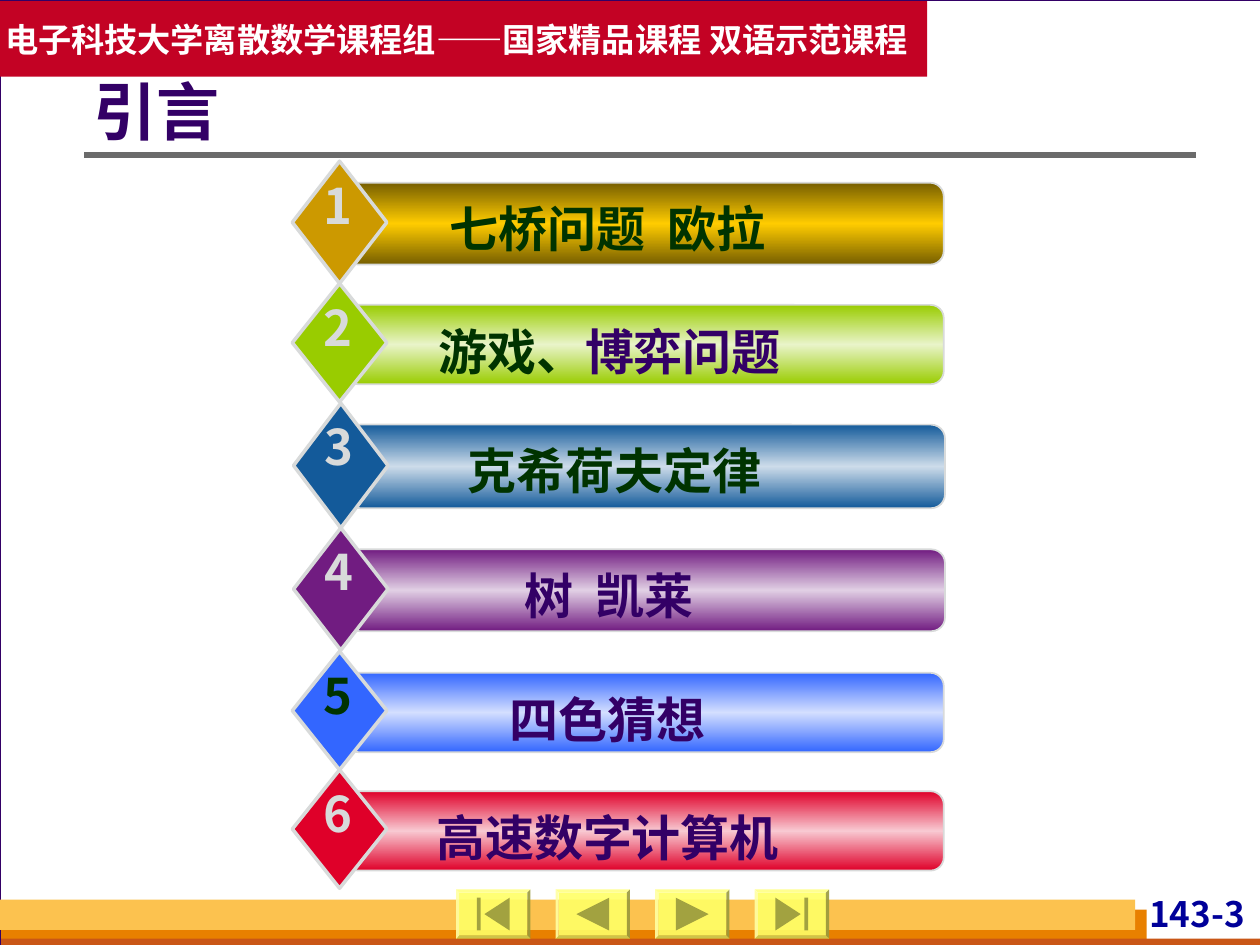
import copy
from dataclasses import dataclass

import pptx
import pptx.dml.color
import pptx.enum.shapes
import pptx.enum.text
import pptx.oxml.ns
import pptx.oxml.xmlchemy
import pptx.util
from lxml import etree

Inches = pptx.util.Inches
Pt = pptx.util.Pt
RGBColor = pptx.dml.color.RGBColor
SHAPE = pptx.enum.shapes.MSO_SHAPE
ALIGN = pptx.enum.text.PP_ALIGN
ANCHOR = pptx.enum.text.MSO_ANCHOR
qn = pptx.oxml.ns.qn

CJK = "Noto Sans CJK SC"
WHITE = RGBColor(0xFF, 0xFF, 0xFF)
SILVER = RGBColor(0xD8, 0xDA, 0xDA)
INDIGO = RGBColor(0x33, 0x00, 0x66)
FOREST = RGBColor(0x00, 0x33, 0x00)
NAVY = RGBColor(0x00, 0x00, 0x99)
CRIMSON = RGBColor(0xC3, 0x02, 0x24)
GREY = RGBColor(0x6B, 0x6B, 0x6B)
ORANGE = RGBColor(0xE8, 0x80, 0x00)
RUST = RGBColor(0xC9, 0x56, 0x16)
AMBER = RGBColor(0xFC, 0xC2, 0x4F)
YELLOW = RGBColor(0xFF, 0xFF, 0x66)
YELLOW_PALE = RGBColor(0xFF, 0xFF, 0xA3)
YELLOW_LIGHT = RGBColor(0xFF, 0xFF, 0x85)
YELLOW_DIM = RGBColor(0xCC, 0xCC, 0x52)
YELLOW_DARK = RGBColor(0x99, 0x99, 0x3D)


@dataclass
class Topic:
    left: float
    top: float
    height: float
    label: list[tuple[str, str, int, RGBColor]]  # text, font, size, colour
    edge: RGBColor
    middle: RGBColor
    diamond: RGBColor
    number_colour: RGBColor = SILVER


def plain(text: str, colour: RGBColor) -> list[tuple[str, str, int, RGBColor]]:
    return [(text, CJK, 28, colour)]


def rgb(code: str) -> RGBColor:
    return RGBColor.from_string(code)


TOPICS = [
    Topic(2.32, 1.28, 0.97, plain("七桥问题  欧拉 ", FOREST),
          rgb("765E00"), rgb("FFCC00"), rgb("CC9900")),
    Topic(2.32, 2.25, 0.94,
          [("游戏、", CJK, 28, FOREST), ("博弈问题", "Arial", 28, INDIGO),
           (" ", "Arial", 18, INDIGO)],
          rgb("99CC00"), rgb("E9F4C9"), rgb("99CC00")),
    Topic(2.33, 3.20, 0.99, plain("克希荷夫定律", FOREST),
          rgb("135A9A"), rgb("CDDCEA"), rgb("135A9A")),
    Topic(2.33, 4.19, 0.97, plain("树  凯莱 ", INDIGO),
          rgb("711C81"), rgb("E1CFE4"), rgb("711C81")),
    Topic(2.32, 5.17, 0.94, plain("四色猜想 ", INDIGO),
          rgb("3366FF"), rgb("D4DFFF"), rgb("3366FF"), FOREST),
    Topic(2.32, 6.11, 0.94, plain("高速数字计算机 ", INDIGO),
          rgb("DF0029"), rgb("F8C9D2"), rgb("DF0029")),
]


def style_run(run, font_name: str, size: int, colour: RGBColor) -> None:
    run.font.name = font_name
    run.font.size = Pt(size)
    run.font.bold = True
    run.font.color.rgb = colour
    east_asian = etree.SubElement(run.font._element, qn("a:ea"))
    east_asian.set("typeface", CJK)


def set_margins(frame, left: float, top: float, right: float, bottom: float) -> None:
    frame.margin_left, frame.margin_top = Inches(left), Inches(top)
    frame.margin_right, frame.margin_bottom = Inches(right), Inches(bottom)


def add_block(slide, kind, left: float, top: float, width: float, height: float,
              fill: RGBColor | None, line: RGBColor | None = None, weight: float = 1):
    block = slide.shapes.add_shape(kind, Inches(left), Inches(top), Inches(width), Inches(height))
    block.shadow.inherit = False
    if fill is not None:
        block.fill.solid()
        block.fill.fore_color.rgb = fill
    if line is None:
        block.line.fill.background()
    else:
        block.line.color.rgb = line
        block.line.width = Pt(weight)
    return block


def add_label(slide, left: float, top: float, width: float, height: float, runs,
              align=ALIGN.CENTER, wrap: bool = True, margins=(0.1, 0.05, 0.1, 0.05)) -> None:
    label = slide.shapes.add_textbox(Inches(left), Inches(top), Inches(width), Inches(height))
    frame = label.text_frame
    frame.word_wrap = wrap
    set_margins(frame, *margins)
    line = frame.paragraphs[0]
    line.alignment = align
    for text, font_name, size, colour in runs:
        run = line.add_run()
        run.text = text
        style_run(run, font_name, size, colour)


def add_topic(slide, number: int, topic: Topic) -> None:
    left, top = topic.left, topic.top
    bar = add_block(slide, SHAPE.ROUNDED_RECTANGLE, left + 0.42, top + 0.17, 4.75,
                    topic.height * 0.67, None, SILVER, 1)
    bar.fill.gradient()
    bar.fill.gradient_angle = 90
    stops = bar.element.find(".//" + qn("a:gsLst"))
    stops.insert(1, copy.deepcopy(stops[0]))
    colours = (topic.edge, topic.middle, topic.edge)
    for stop, position, colour in zip(bar.fill.gradient_stops, (0, 0.5, 1), colours):
        stop.position = position
        stop.color.rgb = colour
    add_block(slide, SHAPE.DIAMOND, left, top, 0.75, topic.height, topic.diamond, SILVER, 2)
    add_label(slide, left + 0.67, top + 0.25, 3.75, 0.57, topic.label)
    add_label(slide, left + 0.15, top + 0.06, 0.42, 0.57,
              plain(str(number), topic.number_colour), wrap=False)


def add_polygon(slide, points: list[tuple[float, float]], colour: RGBColor) -> None:
    corners = [(Inches(x), Inches(y)) for x, y in points]
    builder = slide.shapes.build_freeform(*corners[0])
    builder.add_line_segments(corners[1:], close=True)
    polygon = builder.convert_to_shape()
    polygon.shadow.inherit = False
    polygon.fill.solid()
    polygon.fill.fore_color.rgb = colour
    polygon.line.fill.background()
    alpha = etree.SubElement(polygon.element.spPr.find(".//" + qn("a:srgbClr")), qn("a:alpha"))
    alpha.set("val", "90000")


def add_button(slide, left: float, direction: int, to_end: bool) -> None:
    top, width, height, bevel = 7.06, 0.59, 0.39, 0.025
    right, bottom = left + width, top + height
    outer = [(left, top), (right, top), (right, bottom), (left, bottom)]
    inner = [(left + bevel, top + bevel), (right - bevel, top + bevel),
             (right - bevel, bottom - bevel), (left + bevel, bottom - bevel)]
    add_polygon(slide, inner, YELLOW)
    for i, colour in enumerate((YELLOW_LIGHT, YELLOW_DARK, YELLOW_DIM, YELLOW_PALE)):
        j = (i + 1) % 4
        add_polygon(slide, [outer[i], outer[j], inner[j], inner[i]], colour)
    # Arrow, with a stop bar on the first and last buttons
    x, y = left + width / 2, top + height / 2
    tip = x + direction * (0.07 if to_end else 0.13)
    back = x - direction * 0.13
    add_polygon(slide, [(tip, y), (back, y - 0.13), (back, y + 0.13)], YELLOW_DARK)
    if to_end:
        near, far = x + direction * 0.1, x + direction * 0.13
        add_polygon(slide, [(near, y - 0.13), (far, y - 0.13), (far, y + 0.13),
                            (near, y + 0.13)], YELLOW_DARK)


def main() -> None:
    deck = pptx.Presentation()
    deck.slide_width, deck.slide_height = Inches(10), Inches(7.5)
    slide = deck.slides.add_slide(deck.slide_layouts[5])
    slide.background.fill.solid()
    slide.background.fill.fore_color.rgb = SILVER

    # Page and footer bands
    add_block(slide, SHAPE.RECTANGLE, 0, 0, 10.01, 7.5, WHITE, INDIGO, 0.75)
    add_block(slide, SHAPE.RECTANGLE, 0.01, 7.22, 9.09, 0.28, ORANGE)
    add_block(slide, SHAPE.RECTANGLE, 0.01, 7.45, 10, 0.08, RUST)
    add_block(slide, SHAPE.RECTANGLE, 0, 7.14, 9.01, 0.24, AMBER)
    add_label(slide, 8.7, 7.08, 1.22, 0.38, [("143-3", CJK, 20, NAVY)],
              ALIGN.RIGHT, margins=(0.04, 0, 0.04, 0))

    # Rule under the title
    rule = slide.shapes.add_connector(pptx.enum.shapes.MSO_CONNECTOR.STRAIGHT,
                                      Inches(0.67), Inches(1.23), Inches(9.49), Inches(1.23))
    rule.line.color.rgb = GREY
    rule.line.width = Pt(3)
    etree.SubElement(rule.element.spPr, qn("a:effectLst"))

    # Navigation buttons: first, previous, next, last
    for i, (direction, to_end) in enumerate([(-1, True), (-1, False), (1, False), (1, True)]):
        add_button(slide, 3.62 + 0.79 * i, direction, to_end)

    # Course banner
    banner = add_block(slide, SHAPE.RECTANGLE, 0, 0.01, 7.36, 0.6, CRIMSON)
    banner.text_frame.text = "电子科技大学离散数学课程组——国家精品课程 双语示范课程"
    banner.text_frame.word_wrap = False
    banner.text_frame.vertical_anchor = ANCHOR.MIDDLE
    set_margins(banner.text_frame, 0.04, 0.05, 0.04, 0.05)
    course = banner.text_frame.paragraphs[0]
    course.alignment = ALIGN.LEFT
    style_run(course.runs[0], CJK, 19, WHITE)

    # Title, brought in front of the page
    title = slide.shapes.title
    title.element.getparent().append(title.element)
    title.left, title.top = Inches(0.74), Inches(0.53)
    title.width, title.height = Inches(8.68), Inches(0.77)
    title.text_frame.text = "引言"
    title.text_frame.auto_size = pptx.enum.text.MSO_AUTO_SIZE.NONE
    title.text_frame.vertical_anchor = ANCHOR.MIDDLE
    set_margins(title.text_frame, 0, 0.05, 0.1, 0.05)
    heading = title.text_frame.paragraphs[0]
    heading.alignment = ALIGN.LEFT
    heading.line_spacing = 0.9
    style_run(heading.runs[0], CJK, 36, INDIGO)

    # Topics
    for number, topic in enumerate(TOPICS, 1):
        add_topic(slide, number, topic)

    deck.save("out.pptx")


if __name__ == "__main__":
    main()
